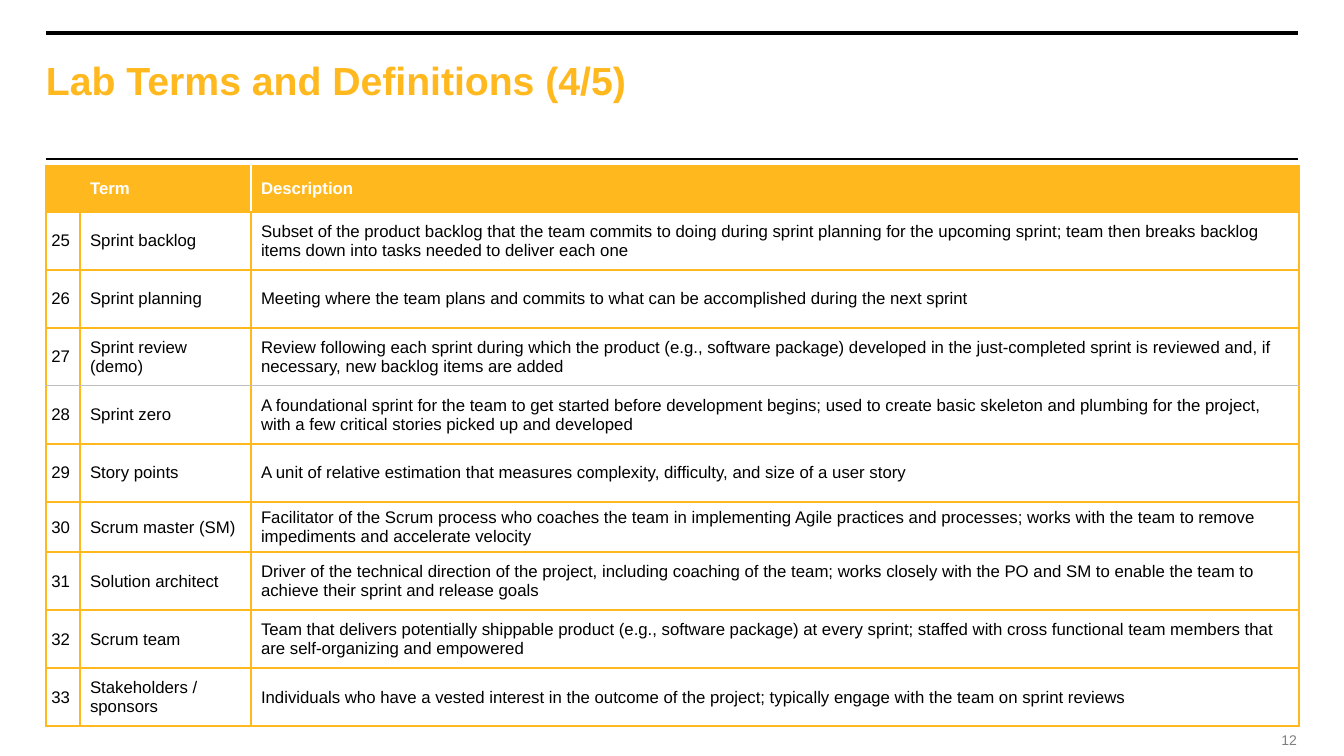
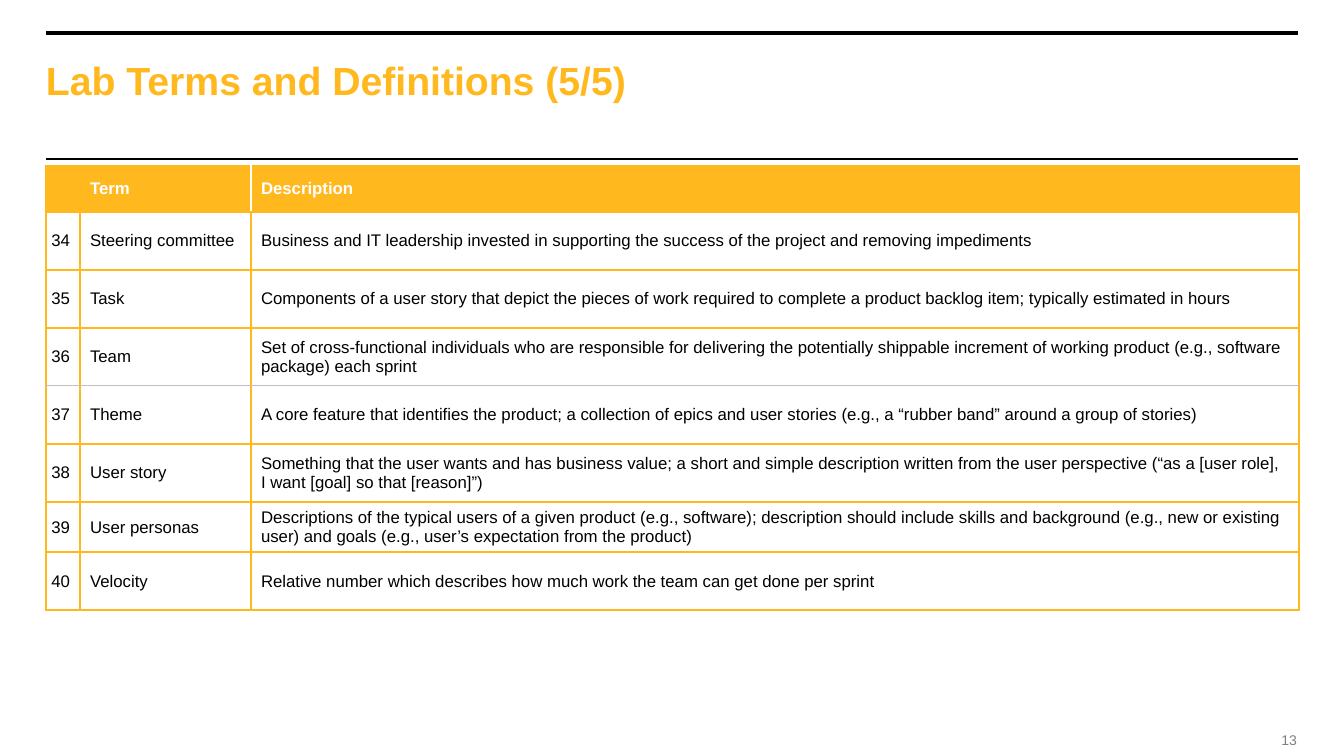
from dataclasses import dataclass
from lxml import etree
from pptx import Presentation
from pptx.dml.color import RGBColor
from pptx.enum.shapes import MSO_CONNECTOR
from pptx.enum.text import MSO_ANCHOR, PP_ALIGN
from pptx.oxml.ns import qn
from pptx.util import Pt

LEFT, RIGHT = PP_ALIGN.LEFT, PP_ALIGN.RIGHT
TOP, MIDDLE = MSO_ANCHOR.TOP, MSO_ANCHOR.MIDDLE
STRAIGHT = MSO_CONNECTOR.STRAIGHT

HEADER = ("", "Term", "Description")
SLIDES = [
    {"title": "Lab Terms and Definitions (4/5)", "page": 12, "first": 25, "terms": [
        ("Sprint backlog", "Subset of the product backlog that the team commits to doing during sprint planning for the upcoming sprint; team then breaks backlog items down into tasks needed to deliver each one"),
        ("Sprint planning", "Meeting where the team plans and commits to what can be accomplished during the next sprint"),
        ("Sprint review (demo)", "Review following each sprint during which the product (e.g., software package) developed in the just-completed sprint is reviewed and, if necessary, new backlog items are added"),
        ("Sprint zero", "A foundational sprint for the team to get started before development begins; used to create basic skeleton and plumbing for the project, with a few critical stories picked up and developed"),
        ("Story points", "A unit of relative estimation that measures complexity, difficulty, and size of a user story"),
        ("Scrum master (SM)", "Facilitator of the Scrum process who coaches the team in implementing Agile practices and processes; works with the team to remove impediments and accelerate velocity"),
        ("Solution architect", "Driver of the technical direction of the project, including coaching of the team; works closely with the PO and SM to enable the team to achieve their sprint and release goals"),
        ("Scrum team", "Team that delivers potentially shippable product (e.g., software package) at every sprint; staffed with cross functional team members that are self-organizing and empowered"),
        ("Stakeholders / sponsors", "Individuals who have a vested interest in the outcome of the project; typically engage with the team on sprint reviews"),
    ]},
    {"title": "Lab Terms and Definitions (5/5)", "page": 13, "first": 34, "terms": [
        ("Steering committee", "Business and IT leadership invested in supporting the success of the project and removing impediments"),
        ("Task", "Components of a user story that depict the pieces of work required to complete a product backlog item; typically estimated in hours"),
        ("Team", "Set of cross-functional individuals who are responsible for delivering the potentially shippable increment of working product (e.g., software package) each sprint"),
        ("Theme", "A core feature that identifies the product; a collection of epics and user stories (e.g., a “rubber band” around a group of stories)"),
        ("User story", "Something that the user wants and has business value; a short and simple description written from the user perspective (“as a [user role], I want [goal] so that [reason]”)"),
        ("User personas", "Descriptions of the typical users of a given product (e.g., software); description should include skills and background (e.g., new or existing user) and goals (e.g., user’s expectation from the product)"),
        ("Velocity", "Relative number which describes how much work the team can get done per sprint"),
    ]},
]


@dataclass(frozen=True)
class Theme:
    font: str = "Arial"
    accent: str = "FFB81E"
    ink: str = "000000"
    paper: str = "FFFFFF"
    muted: str = "7F7F7F"
    hairline: str = "BFBFBF"
    title: float = 28
    body: float = 12
    footer: float = 10
    border: float = 1.5
    thin: float = 0.75


T = Theme()
RULES = [(33, 2.5), (159, 1)]
MARGIN, EDGE = 46, 1298
TABLE_TOP = 166
COLUMNS = (34, 171, 1048)
HEADER_H, ROW_H, SHORT_H = 46, 58, 46
SHORT_ROW, HAIRLINE_AFTER = 6, 3


def px(n):
    return round(n * 914400 / 100.8)


def rgb(color):
    return RGBColor.from_string(color)


def style(p, size, color, bold=False, align=LEFT):
    p.alignment = align
    for r in p.runs:
        r.font.name, r.font.size, r.font.bold = T.font, Pt(size), bold
        r.font.color.rgb = rgb(color)


def add_text(s, box, text, size, color, bold=False, align=LEFT, anchor=TOP, wrap=True):
    tf = s.shapes.add_textbox(*map(px, box)).text_frame
    tf.margin_left = tf.margin_top = tf.margin_right = tf.margin_bottom = 0
    tf.word_wrap, tf.vertical_anchor = wrap, anchor
    tf.text = text
    style(tf.paragraphs[0], size, color, bold, align)


def add_rule(s, y, width):
    line = s.shapes.add_connector(STRAIGHT, px(MARGIN), px(y), px(EDGE), px(y))
    line.line.color.rgb, line.line.width = rgb(T.ink), Pt(width)
    etree.SubElement(line._element.spPr, qn("a:effectLst"))


def set_borders(cell, sides):
    tcPr = cell._tc.get_or_add_tcPr()
    for i, (side, (color, width)) in enumerate(sides.items()):
        ln = etree.Element(qn("a:ln" + side), w=str(Pt(width)))
        fill = etree.SubElement(ln, qn("a:solidFill"))
        etree.SubElement(fill, qn("a:srgbClr"), val=color)
        tcPr.insert(i, ln)


def border_sides(row, col):
    sides = dict.fromkeys("LRTB", (T.accent, T.border))
    if row == 0 and col > 0:
        sides["R" if col == 1 else "L"] = (T.paper, T.border)
    if row == HAIRLINE_AFTER:
        sides["B"] = (T.hairline, T.thin)
    if row == HAIRLINE_AFTER + 1:
        sides["T"] = (T.hairline, T.thin)
    return sides


def fill_cell(cell, text, row, col):
    head = row == 0
    cell.text = text
    cell.vertical_anchor = MIDDLE
    if col == 0:
        cell.margin_left, cell.margin_right = 0, px(10)
    cell.fill.solid()
    cell.fill.fore_color.rgb = rgb(T.accent if head else T.paper)
    style(cell.text_frame.paragraphs[0], T.body, T.paper if head else T.ink,
          head, RIGHT if col == 0 else LEFT)
    set_borders(cell, border_sides(row, col))


def add_terms(s, first, terms):
    rows = [HEADER] + [(str(first + i), *term) for i, term in enumerate(terms)]
    heights = [HEADER_H] + [SHORT_H if i == SHORT_ROW else ROW_H for i in range(1, len(rows))]
    table = s.shapes.add_table(len(rows), len(COLUMNS), px(MARGIN), px(TABLE_TOP),
                               px(sum(COLUMNS)), px(sum(heights))).table
    for column, width in zip(table.columns, COLUMNS):
        column.width = px(width)
    for i, (row, height) in enumerate(zip(rows, heights)):
        table.rows[i].height = px(height)
        for j, text in enumerate(row):
            fill_cell(table.cell(i, j), text, i, j)


def add_slide(prs, title, page, first, terms):
    s = prs.slides.add_slide(prs.slide_layouts[6])
    add_text(s, (1280, 731, 17, 17), str(page), T.footer, T.muted,
             align=RIGHT, anchor=MIDDLE, wrap=False)
    for y, width in RULES:
        add_rule(s, y, width)
    add_text(s, (MARGIN, 56, 1090, 47), title, T.title, T.accent, bold=True)
    add_terms(s, first, terms)


prs = Presentation()
prs.slide_width, prs.slide_height = px(1344), px(756)
for slide in SLIDES:
    add_slide(prs, **slide)
prs.save("out.pptx")
